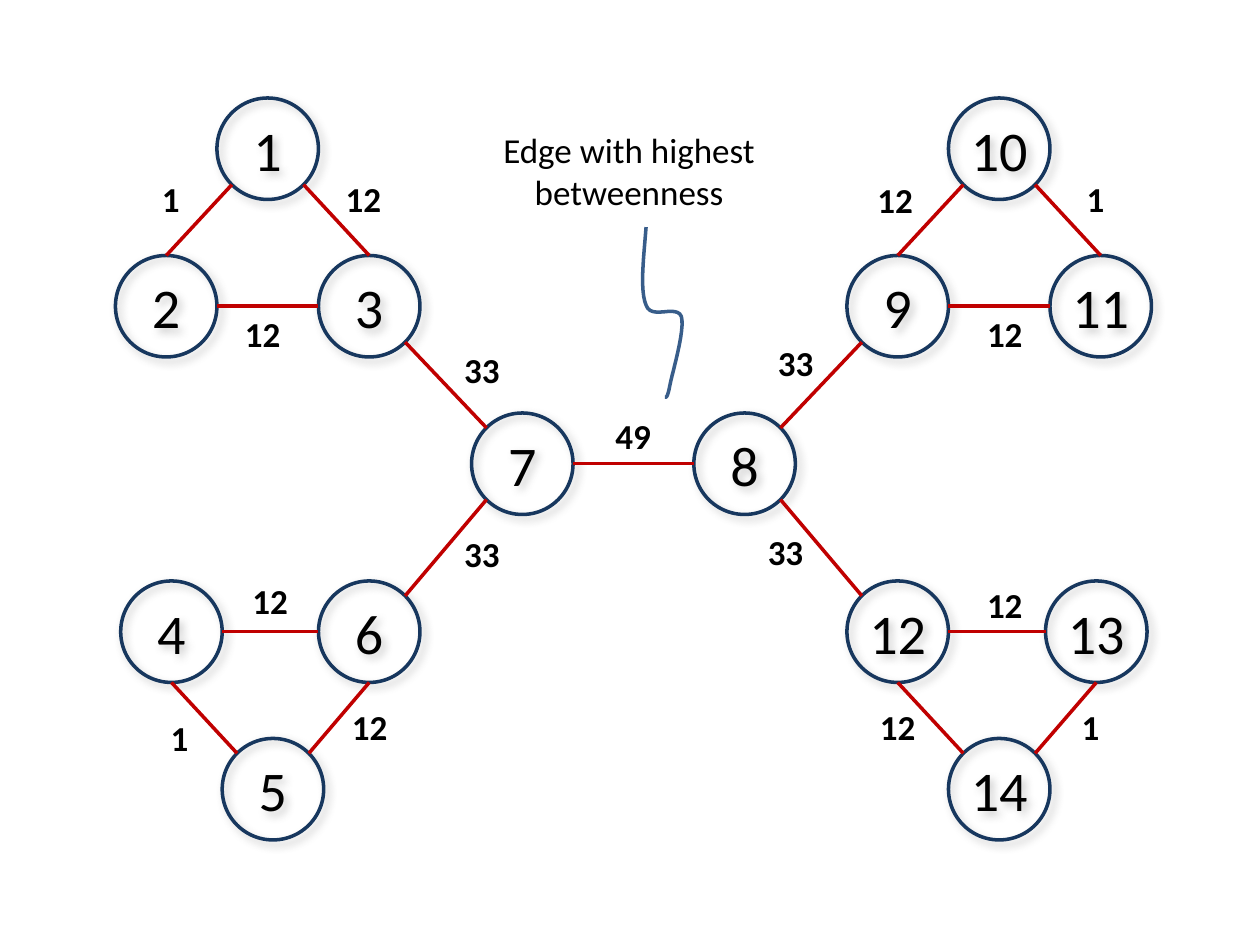
from math import cos, radians, sin

from lxml.etree import SubElement
from pptx import Presentation
from pptx.dml.color import RGBColor
from pptx.enum.shapes import MSO_CONNECTOR, MSO_SHAPE
from pptx.enum.text import MSO_ANCHOR, PP_ALIGN
from pptx.oxml.ns import qn
from pptx.util import Pt

NODE_SIZE = 58
LABEL_WIDTH, LABEL_HEIGHT = 47, 31
RIGHT, LOWER_RIGHT, BOTTOM, LOWER_LEFT = 0, 45, 90, 135
LEFT, UPPER_LEFT, TOP, UPPER_RIGHT = 180, 225, 270, 315

NODE_CENTRES = {
    1: (87, 29), 2: (29, 119), 3: (145, 119),
    4: (32, 305), 5: (90, 395), 6: (145, 305),
    7: (232.5, 209), 8: (359.5, 209),
    9: (447, 119), 10: (505, 29), 11: (563, 119),
    12: (447, 305), 13: (560.5, 305), 14: (505, 395),
}

EDGES = [
    (1, LOWER_LEFT, 2, TOP, "1", (31.6, 57.4)),
    (3, TOP, 1, LOWER_RIGHT, "12", (141.7, 57.4)),
    (3, LEFT, 2, RIGHT, "12", (84.1, 134.4)),
    (10, LOWER_LEFT, 9, TOP, "12", (445.6, 58.1)),
    (11, TOP, 10, LOWER_RIGHT, "1", (560, 57.4)),
    (11, LEFT, 9, RIGHT, "12", (508.2, 134.4)),
    (5, UPPER_LEFT, 4, BOTTOM, "1", (36.6, 365.6)),
    (6, BOTTOM, 5, UPPER_RIGHT, "12", (145.3, 359.1)),
    (6, LEFT, 4, RIGHT, "12", (88.4, 287.1)),
    (14, UPPER_LEFT, 12, BOTTOM, "12", (447, 359.1)),
    (13, BOTTOM, 14, UPPER_RIGHT, "1", (557.2, 359.1)),
    (13, LEFT, 12, RIGHT, "12", (508.2, 289.2)),
    (7, UPPER_LEFT, 3, LOWER_RIGHT, "33", (209.4, 155.3)),
    (7, LOWER_LEFT, 6, UPPER_RIGHT, "33", (209.4, 260.4)),
    (8, LEFT, 7, RIGHT, "49", (295.8, 192.8)),
    (8, UPPER_RIGHT, 9, LOWER_LEFT, "33", (388.7, 151)),
    (12, UPPER_LEFT, 8, LOWER_RIGHT, "33", (382.9, 259)),
]

POINTER_START = (124.2, 59.8)
POINTER_CURVES = [
    ((122.8, 77.8), (120.6, 95.8), (124.2, 104.4)),
    ((127.1, 113.1), (141.5, 103.7), (144.4, 110.9)),
    ((146.5, 118.8), (139.3, 142.6), (137.9, 149.8)),
    ((136.4, 157.7), (135.7, 157), (135, 157)),
]


def color(value):
    """Turn a hex string into a colour."""
    return RGBColor.from_string(value)


def set_format(target, values):
    """Set every attribute named in a dict of format values."""
    for name, value in values.items():
        setattr(target, name, value)


def style_line(line, value):
    """Give a line its colour and the common width."""
    line.color.rgb = color(value)
    line.width = Pt(2)


def write_text(shape, text, size, bold=False, **frame_format):
    """Put one centred paragraph into a shape."""
    set_format(shape.text_frame, {"word_wrap": True, **frame_format})
    para = shape.text_frame.paragraphs[0]
    para.alignment = PP_ALIGN.CENTER
    span = para.add_run()
    span.text = text
    set_format(span.font, {"name": "Calibri", "size": Pt(size), "bold": bold})
    span.font.color.rgb = color("000000")


def add_text(page, left, top, width, height, text, bold=False):
    """Add a text box with one centred paragraph."""
    box = page.shapes.add_textbox(Pt(left), Pt(top), Pt(width), Pt(height))
    write_text(box, text, 20, bold)


def add_shadow(shape):
    """Add a soft grey shadow towards the lower right."""
    shape.shadow.inherit = False
    effects = shape.element.spPr.find(qn("a:effectLst"))
    shadow = SubElement(effects, qn("a:outerShdw"), blurRad=str(Pt(5)), dist=str(Pt(3)),
                        dir="2700000", algn="tl", rotWithShape="0")
    tint = SubElement(shadow, qn("a:srgbClr"), val="808080")
    SubElement(tint, qn("a:alpha"), val="40000")


def add_node(page, left, top, number):
    """Draw one numbered circle."""
    node = page.shapes.add_shape(MSO_SHAPE.OVAL, Pt(left), Pt(top), Pt(NODE_SIZE), Pt(NODE_SIZE))
    node.fill.background()
    style_line(node.line, "17375E")
    add_shadow(node)
    margin = Pt(0) if number > 9 else Pt(7.2)
    write_text(node, str(number), 32, vertical_anchor=MSO_ANCHOR.MIDDLE,
               margin_left=margin, margin_right=margin)


def rim_point(number, angle):
    """Return the point on the rim of a node at a clockwise angle."""
    x, y = NODE_CENTRES[number]
    radius = NODE_SIZE / 2
    return x + radius * cos(radians(angle)), y + radius * sin(radians(angle))


def add_edge(page, left, top, start, end):
    """Draw one red edge between two points."""
    ends = [Pt(origin + offset) for point in (start, end)
            for origin, offset in zip((left, top), point)]
    edge = page.shapes.add_connector(MSO_CONNECTOR.STRAIGHT, *ends)
    style_line(edge.line, "C00000")
    SubElement(edge.element.spPr, qn("a:effectLst"))


def draw_network(page, left, top):
    """Draw the nodes, the edges and their betweenness values."""
    for number, (x, y) in NODE_CENTRES.items():
        add_node(page, left + x - NODE_SIZE / 2, top + y - NODE_SIZE / 2, number)
    for first, first_angle, second, second_angle, value, (x, y) in EDGES:
        add_edge(page, left, top, rim_point(first, first_angle), rim_point(second, second_angle))
        add_text(page, left + x - LABEL_WIDTH / 2, top + y - LABEL_HEIGHT / 2,
                 LABEL_WIDTH, LABEL_HEIGHT, value, bold=True)


def curve_points(start, curves, steps=12):
    """Return evenly stepped points along a chain of cubic curves."""
    points = [start]
    for curve in curves:
        controls = (points[-1], *curve)
        for step in range(1, steps + 1):
            t = step / steps
            weights = ((1 - t) ** 3, 3 * t * (1 - t) ** 2, 3 * t ** 2 * (1 - t), t ** 3)
            points.append(tuple(sum(weight * value for weight, value in zip(weights, axis))
                                for axis in zip(*controls)))
    return points


def draw_callout(page, left, top):
    """Draw the remark and its wavy pointer."""
    add_text(page, left, top, 229, 55.5, "Edge with highest betweenness")
    points = [(Pt(left + x), Pt(top + y)) for x, y in curve_points(POINTER_START, POINTER_CURVES)]
    builder = page.shapes.build_freeform(*points[0])
    builder.add_line_segments(points[1:], close=False)
    pointer = builder.convert_to_shape()
    pointer.fill.background()
    style_line(pointer.line, "385D8A")
    pointer.shadow.inherit = False


def main():
    """Build the deck and save it."""
    deck = Presentation()
    set_format(deck, {"slide_width": Pt(720), "slide_height": Pt(540)})
    page = deck.slides.add_slide(deck.slide_layouts[6])
    draw_network(page, 66, 56)
    draw_callout(page, 245, 70)
    deck.save("out.pptx")


if __name__ == "__main__":
    main()
